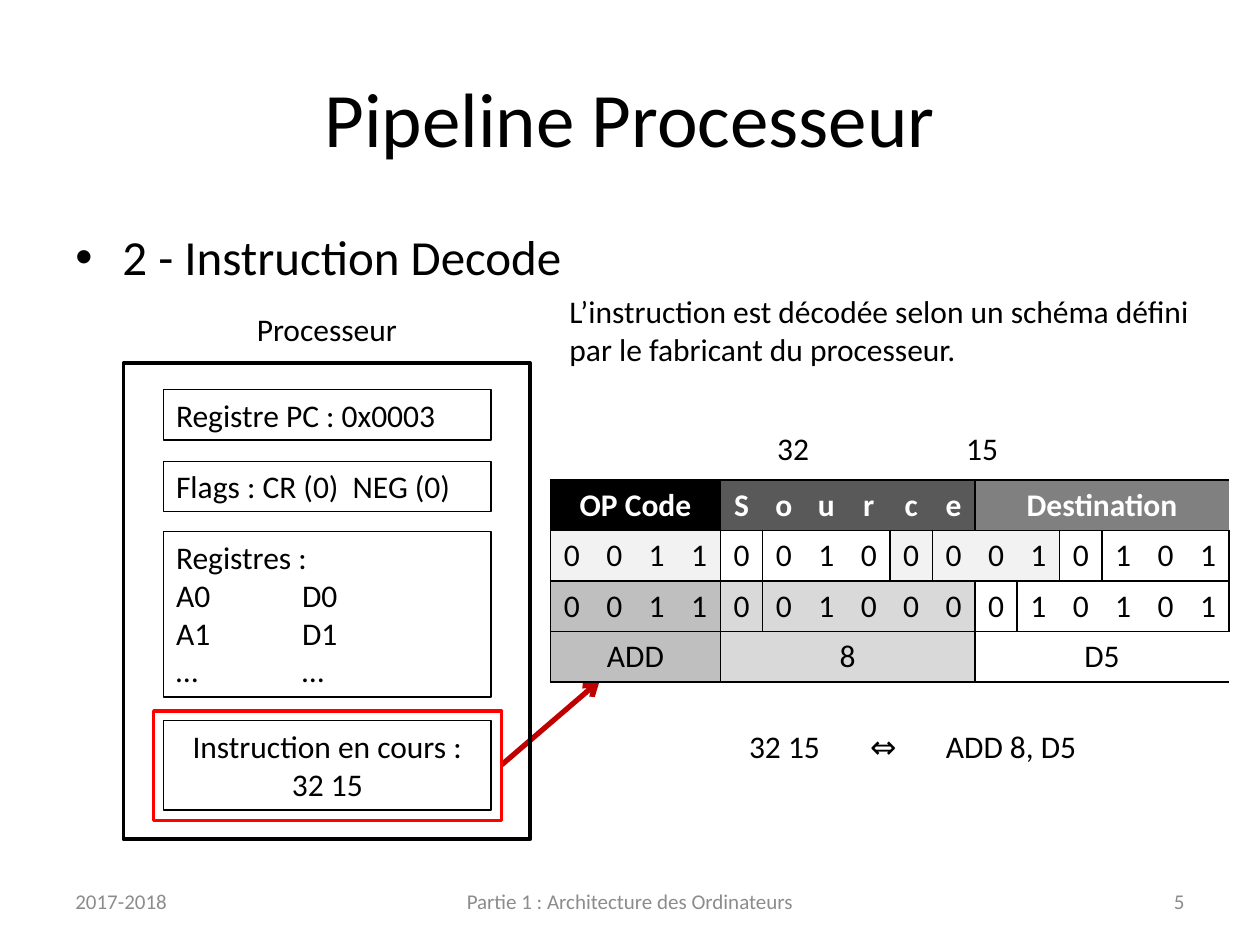
from lxml.etree import SubElement
from pptx import Presentation
from pptx.dml.color import RGBColor
from pptx.enum.shapes import MSO_CONNECTOR as Connector, MSO_SHAPE as Shape
from pptx.enum.text import MSO_ANCHOR as Anchor, PP_ALIGN as Align
from pptx.oxml.ns import qn
from pptx.util import Cm, Pt

FONT = "Calibri"
BLACK = RGBColor(0x00, 0x00, 0x00)
WHITE = RGBColor(0xFF, 0xFF, 0xFF)
RED = RGBColor(0xFF, 0x00, 0x00)
DARK_RED = RGBColor(0xC0, 0x00, 0x00)
FOOTER_GREY = RGBColor(0x8C, 0x8C, 0x8C)
SOURCE_GREY = RGBColor(0x59, 0x59, 0x59)
DESTINATION_GREY = RGBColor(0x80, 0x80, 0x80)
PALE = RGBColor(0xF2, 0xF2, 0xF2)
LIGHT = RGBColor(0xD9, 0xD9, 0xD9)
MEDIUM = RGBColor(0xBF, 0xBF, 0xBF)

BIT_COUNT = 16
DECODING = [
    [("OP Code", 4, BLACK), ("Source", 6, SOURCE_GREY), ("Destination", 6, DESTINATION_GREY)],
    [("0011", 4, PALE), ("0", 1, WHITE), ("010", 3, WHITE), ("0", 1, PALE),
     ("001", 3, PALE), ("0", 1, WHITE), ("101", 3, WHITE)],
    [("0011", 4, MEDIUM), ("0", 1, LIGHT), ("01000", 5, LIGHT),
     ("0", 1, WHITE), ("10101", 5, WHITE)],
    [("ADD", 4, MEDIUM), ("8", 6, LIGHT), ("D5", 6, WHITE)],
]


def write(frame, paragraphs, size=18, color=BLACK, align=Align.LEFT, bold=False):
    frame.word_wrap = True
    for index, lines in enumerate(paragraphs):
        paragraph = frame.paragraphs[0] if index == 0 else frame.add_paragraph()
        paragraph.alignment = align
        for number, line in enumerate(lines.split("\n")):
            if number:
                paragraph.add_line_break()
            run = paragraph.add_run()
            run.text = line
            run.font.name = FONT
            run.font.size = Pt(size)
            run.font.bold = bold
            run.font.color.rgb = color


def add_label(shapes, box, words, anchor=Anchor.TOP, **style):
    frame = shapes.add_textbox(*map(Cm, box)).text_frame
    frame.vertical_anchor = anchor
    write(frame, [words], **style)
    return frame


def add_frame(shapes, box, color, width):
    frame = shapes.add_shape(Shape.RECTANGLE, *map(Cm, box))
    frame.shadow.inherit = False
    frame.fill.background()
    frame.line.color.rgb = color
    frame.line.width = Pt(width)
    return frame


def add_heading(slide, left, top, width):
    add_label(slide.shapes, (left, top, width, 3.17), "Pipeline Processeur",
              Anchor.MIDDLE, size=44, align=Align.CENTER)
    step = add_label(slide.shapes, (left, top + 3.69, width, 12.57),
                     "2 - Instruction Decode", size=28).paragraphs[0]
    step.space_before = Pt(5.6)
    properties = step._p.get_or_add_pPr()
    properties.set("marL", str(Cm(0.95)))
    properties.set("indent", str(-Cm(0.95)))
    SubElement(properties, qn("a:buFont")).set("typeface", "Arial")
    SubElement(properties, qn("a:buChar")).set("char", "•")


def add_footer(slide, left, top, width):
    side, middle = 5.92, 8.05
    for words, x, span, align in (
        ("2017-2018", left, side, Align.LEFT),
        ("Partie 1 : Architecture des Ordinateurs", left + (width - middle) / 2, middle, Align.CENTER),
        ("5", left + width - side, side, Align.RIGHT),
    ):
        add_label(slide.shapes, (x, top, span, 1.02), words, Anchor.MIDDLE,
                  size=12, color=FOOTER_GREY, align=align)


def add_arrow(slide, start, end):
    arrow = slide.shapes.add_connector(Connector.STRAIGHT, *map(Cm, start + end))
    arrow.line.color.rgb = DARK_RED
    arrow.line.width = Pt(3)
    SubElement(arrow.line._get_or_add_ln(), qn("a:tailEnd")).set("type", "arrow")
    SubElement(arrow._element.spPr, qn("a:effectLst"))


def set_borders(cell, sides):
    properties = cell._tc.get_or_add_tcPr()
    for side in "LRTB":
        border = SubElement(properties, qn("a:ln" + side), w=str(Pt(1)))
        if side in sides:
            fill = SubElement(border, qn("a:solidFill"))
            SubElement(fill, qn("a:srgbClr")).set("val", str(BLACK))
        else:
            SubElement(border, qn("a:noFill"))


def add_decoding_table(slide, left, top, width, height):
    table = slide.shapes.add_table(len(DECODING), BIT_COUNT,
                                   *map(Cm, (left, top, width, height))).table
    table.first_row = table.horz_banding = False
    for column in table.columns:
        column.width = Cm(width / BIT_COUNT)
    for row, fields in enumerate(DECODING):
        is_header = row == 0
        first = 0
        for words, count, fill in fields:
            last = first + count - 1
            is_bits = len(words) == count
            for column in range(first, last + 1):
                cell = table.cell(row, column)
                cell.margin_left = cell.margin_right = 0
                sides = "TB" + "L" * (column == first) + "R" * (column == last)
                set_borders(cell, sides)
                cell.fill.solid()
                cell.fill.fore_color.rgb = fill
                if is_bits or column == first:
                    write(cell.text_frame, [words[column - first] if is_bits else words],
                          color=WHITE if is_header else BLACK,
                          align=Align.CENTER, bold=is_header)
            if not is_bits:
                table.cell(row, first).merge(table.cell(row, last))
            first = last + 1


def add_decoding(slide, left, top, width):
    add_label(slide.shapes, (left + 0.13, top, 13.49, 1.8),
              "L’instruction est décodée selon un schéma défini par le fabricant du processeur.")
    add_label(slide.shapes, (left, top + 2.76, 13.59, 1.02), "32\t\t\t15", align=Align.CENTER)
    add_decoding_table(slide, left, top + 3.91, width, 4.06)
    meaning = add_label(slide.shapes, (left + 3, top + 8.76, 8.61, 1.02), "32 15\t⇔\tADD 8, D5")
    meaning.margin_left = Cm(1)
    stops = SubElement(meaning.paragraphs[0]._p.get_or_add_pPr(), qn("a:tabLst"))
    for position in (2.44, 3.97):
        SubElement(stops, qn("a:tab"), pos=str(Cm(position)), algn="l")


def add_processor(slide, left, top, width, height):
    parts = slide.shapes.add_group_shape().shapes
    add_label(parts, (left, top - 1.2, width, 1.02), "Processeur", align=Align.CENTER)
    add_frame(parts, (left, top, width, height), BLACK, 2)
    for y, box_height, paragraphs, align in (
        (0.53, 1.02, ["Registre PC : 0x0003"], Align.LEFT),
        (1.98, 1.02, ["Flags : CR (0)  NEG (0)"], Align.LEFT),
        (3.4, 3.33, ["Registres :\nA0\t\tD0", "A1\t\tD1\n…\t\t…"], Align.LEFT),
        (7.21, 1.8, ["Instruction en cours :\n32 15"], Align.CENTER),
    ):
        register = add_frame(parts, (left + 0.81, top + y, 6.6, box_height), BLACK, 0.75)
        register.text_frame.vertical_anchor = Anchor.TOP
        write(register.text_frame, paragraphs, align=align)
    add_frame(slide.shapes, (left + 0.61, top + 7.01, 7.01, 2.21), RED, 2)


def main():
    deck = Presentation()
    deck.slide_width, deck.slide_height = Cm(25.4), Cm(19.05)
    slide = deck.slides.add_slide(deck.slide_layouts[6])
    add_heading(slide, 1.27, 0.76, 22.86)
    add_footer(slide, 1.27, 17.65, 22.86)
    add_arrow(slide, (10.11, 15.42), (12.09, 13.72))
    add_decoding(slide, 11.1, 5.77, 13.69)
    add_processor(slide, 2.49, 7.32, 8.2, 9.6)
    deck.save("out.pptx")


if __name__ == "__main__":
    main()
